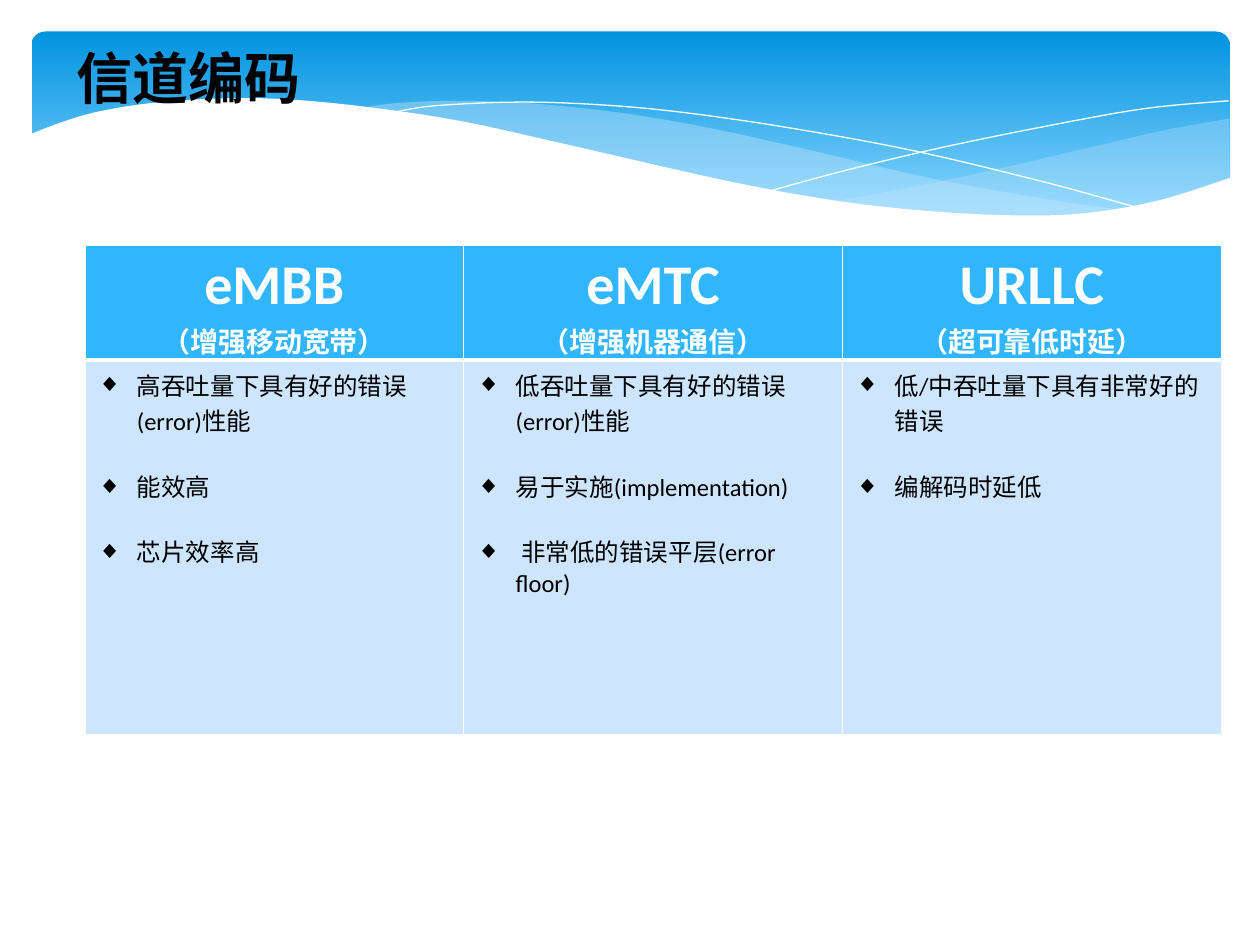
from pptx import Presentation
from pptx.dml.color import RGBColor
from pptx.enum.shapes import MSO_SHAPE
from pptx.enum.text import MSO_ANCHOR as Anchor, PP_ALIGN as Align
from pptx.oxml.ns import qn
from pptx.util import Pt
from lxml.etree import SubElement

COLORS = {
    "sky": "0293E0", "pale sky": "83D3FE", "ribbon": "C6E7FC", "white": "FFFFFF",
    "black": "000000", "header": "31B6FD", "body": "CEE5FE",
}

WAVE = [(703.4, 101.5), (662.4, 114.5), (621.4, 121.7), (582.5, 123.1), (535.7, 121),
        (481, 115.2), (416.9, 103.7), (321.8, 82.1), (262.8, 69.1), (210.2, 61.2),
        (165.6, 56.9), (127.4, 56.2), (85.7, 59), (54.7, 64.1), (33.1, 70.6), (16.6, 77)]
WAVE_BASE = [(16.6, 161), (703.4, 161)]
RIGHT_TOP = [(702.7, 67.7), (663.1, 74.9), (619.9, 85), (560.9, 98.6), (508.3, 109.4),
             (475.9, 115.2)]
RIGHT_BOTTOM = [(475.9, 115.2), (507.6, 118.8), (545, 122.4), (586.1, 123.8),
                (621.4, 122.4), (657.4, 116.6), (683.3, 109.4), (702.7, 101.5)]
LEFT_TOP = [(643, 120.2), (602.6, 114.5), (533.5, 102.2), (452.9, 83.5), (399.6, 72),
            (352.1, 64.1), (302.4, 59), (259.9, 57.6), (225.4, 59), (205.9, 61.9)]
LEFT_BOTTOM = [(205.9, 61.9), (246.2, 67.7), (290.9, 76.3), (353.5, 90.7), (407.5, 103),
               (468, 113.8), (519.8, 121), (565.2, 123.8), (603.4, 123.8), (643, 120.2)]
FALLING_LINE = [(222.5, 64.8), (247.7, 60.5), (299.5, 58.3), (352.1, 60.5), (400.3, 65.5),
                (457.9, 74.2), (523.4, 86.4), (598.3, 104.4), (653, 119.5)]
RISING_LINE = [(441.4, 108.7), (483.8, 97.2), (538.6, 84.2), (601.9, 71.3),
               (655.2, 61.9), (702, 57.6)]

SCENARIOS = [
    ("eMBB", "（增强移动宽带）",
     ["高吞吐量下具有好的错误(error)性能", "能效高", "芯片效率高"]),
    ("eMTC", "（增强机器通信）",
     ["低吞吐量下具有好的错误(error)性能", "易于实施(implementation)",
      " 非常低的错误平层(error floor)"]),
    ("URLLC", "（超可靠低时延）",
     ["低/中吞吐量下具有非常好的错误", "编解码时延低"]),
]


def color(name):
    return RGBColor.from_string(COLORS[name])


def smooth(knots, steps=5):
    """Return a Catmull-Rom curve through the knots."""
    ends = [knots[0], *knots, knots[-1]]
    curve = [knots[0]]
    for a, b, c, d in zip(ends, ends[1:], ends[2:], ends[3:]):
        for step in range(1, steps + 1):
            t = step / steps
            curve.append(tuple(
                b[i] + t * (c[i] - a[i]) / 2
                + t * t * (2 * a[i] - 5 * b[i] + 4 * c[i] - d[i]) / 2
                + t ** 3 * (3 * b[i] - a[i] - 3 * c[i] + d[i]) / 2
                for i in (0, 1)))
    return curve


class SlideBuilder:
    def __init__(self, slide):
        self.slide = slide
        self.shapes = slide.shapes

    def add_text(self, para, text, size, name, bold=False, font="Calibri"):
        span = para.add_run()
        span.text = text
        span.font.name, span.font.size, span.font.bold = font, Pt(size), bold
        span.font.color.rgb = color(name)

    def banner(self, left, top, width, height):
        box = self.shapes.add_shape(MSO_SHAPE.ROUNDED_RECTANGLE, Pt(left), Pt(top),
                                    Pt(width), Pt(height))
        box.adjustments[0] = 0.07
        box.shadow.inherit = False
        box.line.fill.background()
        box.fill.gradient()
        box.fill.gradient_angle = 270
        stops = zip(box.fill.gradient_stops, ("sky", "pale sky"), (0, 0.9))
        for stop, name, position in stops:
            stop.color.rgb, stop.position = color(name), position

    def outline(self, points, closed):
        emu = [(Pt(x), Pt(y)) for x, y in points]
        builder = self.shapes.build_freeform(*emu[0])
        builder.add_line_segments(emu[1:], close=closed)
        shape = builder.convert_to_shape()
        shape.shadow.inherit = False
        return shape

    def area(self, points, name, opacity=100):
        shape = self.outline(points, True)
        shape.line.fill.background()
        shape.fill.solid()
        shape.fill.fore_color.rgb = color(name)
        if opacity < 100:
            tint = shape._element.spPr.find(qn("a:solidFill"))[0]
            SubElement(tint, qn("a:alpha"), val=str(opacity * 1000))

    def curve(self, points, name):
        shape = self.outline(points, False)
        shape.fill.background()
        shape.line.color.rgb = color(name)
        shape.line.width = Pt(0)

    def title(self, text, left, top, width, height):
        box = self.shapes.title
        box.left, box.top, box.width, box.height = map(Pt, (left, top, width, height))
        self.shapes._spTree.append(box._element)
        frame = box.text_frame
        frame.word_wrap = True
        frame.vertical_anchor = Anchor.MIDDLE
        para = frame.paragraphs[0]
        para.alignment = Align.LEFT
        self.add_text(para, text, 32, "black", True, "Arial")

    def cell(self, cell, fill, top_line, bottom_line):
        props = cell._tc.get_or_add_tcPr()
        for side, width in zip("LRTB", (1, 1, top_line, bottom_line)):
            line = SubElement(props, qn(f"a:ln{side}"), w=str(Pt(width)))
            solid = SubElement(line, qn("a:solidFill"))
            SubElement(solid, qn("a:srgbClr"), val=COLORS["white"])
        cell.fill.solid()
        cell.fill.fore_color.rgb = color(fill)

    def bullet(self, para, indent):
        props = para._p.get_or_add_pPr()
        props.set("marL", str(Pt(indent)))
        props.set("indent", str(-Pt(indent)))
        SubElement(props, qn("a:buFont"), typeface="Arial")
        SubElement(props, qn("a:buChar"), char="◆")

    def table(self, scenarios, left, top, width, heights):
        table = self.shapes.add_table(2, len(scenarios), Pt(left), Pt(top), Pt(width),
                                      Pt(sum(heights))).table
        for row, height in zip(table.rows, heights):
            row.height = Pt(height)
        for index, (name, meaning, needs) in enumerate(scenarios):
            table.columns[index].width = Pt(width / len(scenarios))
            head, body = table.cell(0, index), table.cell(1, index)
            self.cell(head, "header", 1, 3)
            self.cell(body, "body", 3, 1)
            head.margin_bottom = Pt(0)
            frame = head.text_frame
            for para, text, size in ((frame.paragraphs[0], name, 32),
                                     (frame.add_paragraph(), meaning, 16)):
                para.alignment = Align.CENTER
                self.add_text(para, text, size, "white", True)
            frame = body.text_frame
            for order, need in enumerate(needs):
                para = frame.add_paragraph() if order else frame.paragraphs[0]
                if order:
                    para.space_before = Pt(17)
                self.bullet(para, 22.5)
                self.add_text(para, need, 14, "black")


def main():
    deck = Presentation()
    deck.slide_width, deck.slide_height = Pt(720), Pt(540)
    page = SlideBuilder(deck.slides.add_slide(deck.slide_layouts[5]))
    page.banner(18, 18, 684.7, 112.3)
    page.area(smooth(RIGHT_TOP) + smooth(RIGHT_BOTTOM), "ribbon", 29)
    page.area(smooth(LEFT_TOP) + smooth(LEFT_BOTTOM), "ribbon", 40)
    page.curve(smooth(FALLING_LINE), "white")
    page.curve(smooth(RISING_LINE), "white")
    page.area(smooth(WAVE) + WAVE_BASE, "white")
    page.title("信道编码", 36.7, 21, 618.5, 46)
    page.table(SCENARIOS, 48.5, 140, 649.5, (64.5, 214))
    deck.save("out.pptx")


if __name__ == "__main__":
    main()
